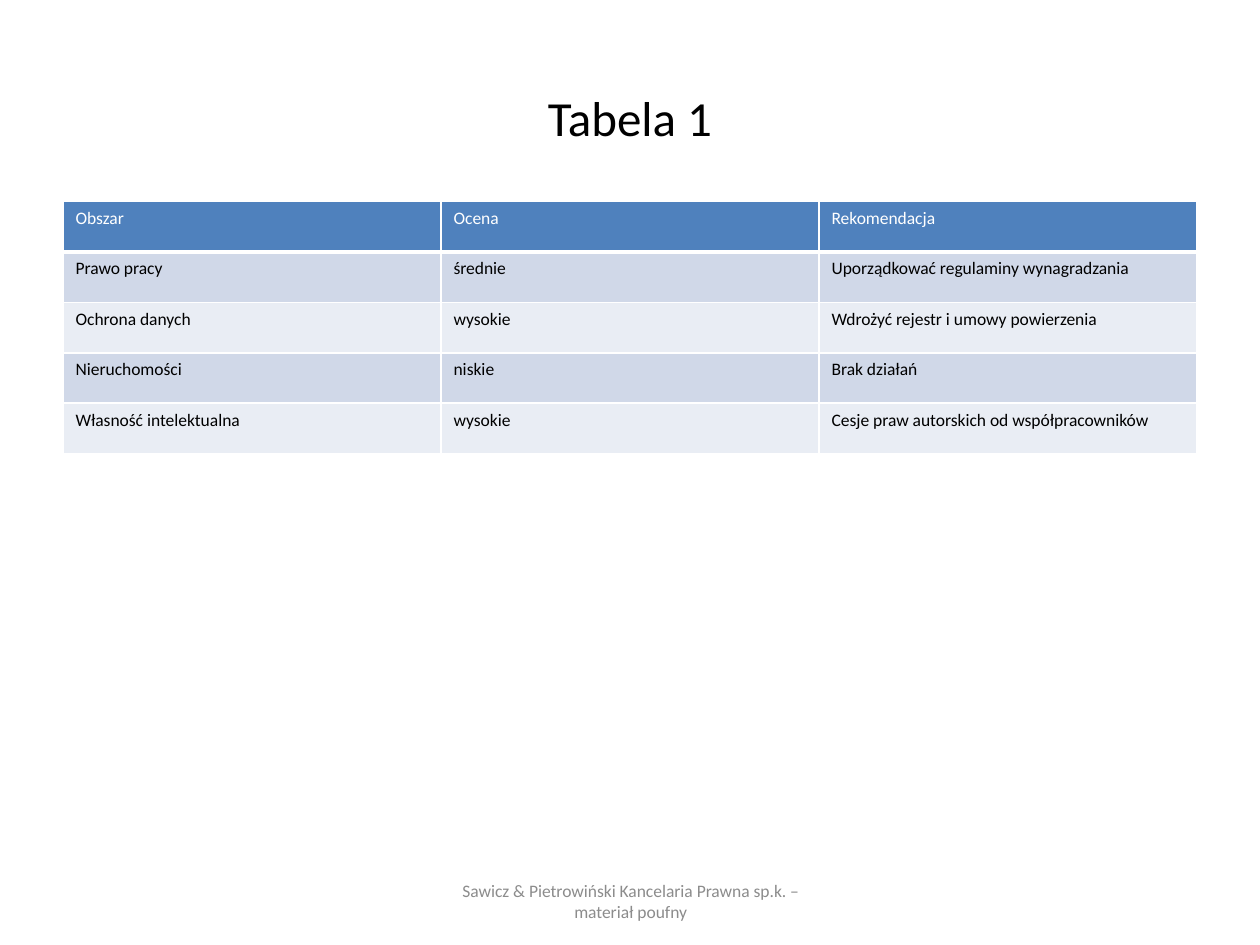
from dataclasses import dataclass

from lxml.etree import SubElement
from pptx import Presentation
from pptx.dml.color import RGBColor
from pptx.enum.text import MSO_ANCHOR as Anchor, PP_ALIGN as Align
from pptx.oxml.ns import qn
from pptx.util import Emu, Pt

SCALE = 9144  # EMU per px, 100 px to the inch
FONT = "Calibri"
COLORS = {
    "white": "FFFFFF",
    "black": "000000",
    "header": "4F81BD",
    "band_dark": "D0D8E8",
    "band_light": "E9EDF4",
    "footer": "8C8C8C",
}
ASSESSMENT = [
    ("Obszar", "Ocena", "Rekomendacja"),
    ("Prawo pracy", "średnie", "Uporządkować regulaminy wynagradzania"),
    ("Ochrona danych", "wysokie", "Wdrożyć rejestr i umowy powierzenia"),
    ("Nieruchomości", "niskie", "Brak działań"),
    ("Własność intelektualna", "wysokie", "Cesje praw autorskich od współpracowników"),
]
COLUMN_WIDTH, ROW_HEIGHT = 300, 40


@dataclass
class Caption:
    text: str
    left: int
    top: int
    width: int
    height: int
    size: int
    color: str


CAPTIONS = [
    Caption("Tabela 1", 50, 30, 900, 125, 28, "black"),
    Caption("Sawicz & Pietrowiński Kancelaria Prawna sp.k. – materiał poufny",
            342, 695, 317, 40, 10, "footer"),
]


def px(length: int) -> Emu:
    return Emu(length * SCALE)


def rgb(color: str) -> RGBColor:
    return RGBColor.from_string(COLORS[color])


def style_text(paragraph, size: int, color: str) -> None:
    for run in paragraph.runs:
        run.font.name = FONT
        run.font.size = Pt(size)
        run.font.bold = False
        run.font.color.rgb = rgb(color)


def draw_caption(slide, caption: Caption) -> None:
    box = slide.shapes.add_textbox(px(caption.left), px(caption.top),
                                   px(caption.width), px(caption.height))
    frame = box.text_frame
    frame.word_wrap = True
    frame.vertical_anchor = Anchor.MIDDLE
    frame.text = caption.text
    frame.paragraphs[0].alignment = Align.CENTER
    style_text(frame.paragraphs[0], caption.size, caption.color)


def add_borders(cell, bottom_width: int) -> None:
    properties = cell._tc.get_or_add_tcPr()
    for side, width in (("L", 1), ("R", 1), ("T", 1), ("B", bottom_width)):
        line = SubElement(properties, qn(f"a:ln{side}"), w=str(Pt(width)))
        fill = SubElement(line, qn("a:solidFill"))
        SubElement(fill, qn("a:srgbClr"), val=COLORS["white"])


def draw_assessment(slide, left: int, top: int) -> None:
    rows, columns = len(ASSESSMENT), len(ASSESSMENT[0])
    table = slide.shapes.add_table(rows, columns, px(left), px(top),
                                   px(columns * COLUMN_WIDTH),
                                   px(rows * ROW_HEIGHT)).table
    for r, entries in enumerate(ASSESSMENT):
        is_header = r == 0
        band = "header" if is_header else "band_dark" if r % 2 else "band_light"
        for c, entry in enumerate(entries):
            cell = table.cell(r, c)
            cell.text_frame.text = entry
            style_text(cell.text_frame.paragraphs[0], 10,
                       "white" if is_header else "black")
            add_borders(cell, 3 if is_header else 1)
            cell.fill.solid()
            cell.fill.fore_color.rgb = rgb(band)


def main() -> None:
    deck = Presentation()
    deck.slide_width, deck.slide_height = px(1000), px(750)
    slide = deck.slides.add_slide(deck.slide_layouts[6])

    # Title and footer
    for caption in CAPTIONS:
        draw_caption(slide, caption)

    # Assessment table
    draw_assessment(slide, 50, 160)

    deck.save("out.pptx")


if __name__ == "__main__":
    main()
